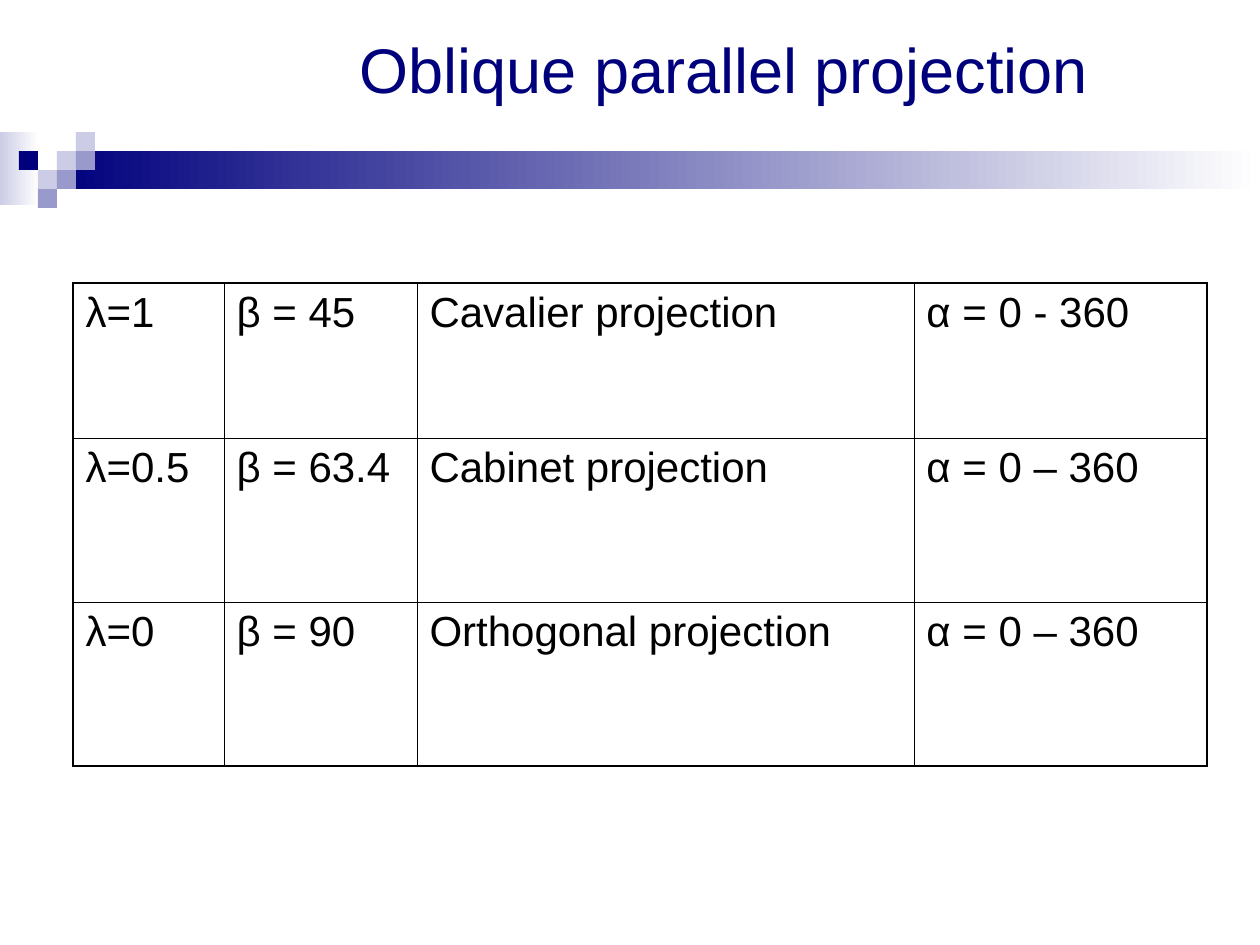
from dataclasses import dataclass

from lxml import etree
from pptx import Presentation
from pptx import util as u
from pptx.dml.color import RGBColor
from pptx.enum import shapes, text
from pptx.oxml.ns import qn

TITLE = "Oblique parallel projection"
ROWS = [
    ("λ=1", "β = 45", "Cavalier projection", "α = 0 - 360"),
    ("λ=0.5", "β = 63.4", "Cabinet projection", "α = 0 – 360"),
    ("λ=0", "β = 90", "Orthogonal projection", "α = 0 – 360"),
]
COLUMN_WIDTHS = (151, 193, 497, 293)
ROW_HEIGHTS = (155, 164, 164)


@dataclass(frozen=True)
class Theme:
    font: str = "Arial"
    navy: str = "00007D"
    lavender: str = "9999CC"
    pale: str = "CCCCE6"
    white: str = "FFFFFF"
    black: str = "000000"
    title_size: int = 36
    cell_size: int = 24
    outer_line: float = 1.08
    inner_line: float = 0.45


THEME = Theme()
SQUARE = 19
MOSAIC_TOP = 132
BANDS = [
    ((0, MOSAIC_TOP, 39, 73), THEME.pale),
    ((57, MOSAIC_TOP + SQUARE, 1203, 2 * SQUARE), THEME.navy),
]
SQUARES = [
    (3, 1, THEME.pale),
    (4, 0, THEME.pale),
    (4, 1, THEME.lavender),
    (2, 2, THEME.pale),
    (1, 1, THEME.navy),
    (3, 2, THEME.lavender),
    (2, 3, THEME.lavender),
]


def px(length):
    return u.Emu(round(length * 914400 / 126))


def write(frame, words, size, color, anchor):
    frame.word_wrap = True
    frame.vertical_anchor = anchor
    para = frame.paragraphs[0]
    para.alignment = text.PP_ALIGN.LEFT
    span = para.add_run()
    span.text = words
    span.font.name = THEME.font
    span.font.size = u.Pt(size)
    span.font.color.rgb = RGBColor.from_string(color)


def add_block(page, bounds, color, fade=None):
    block = page.shapes.add_shape(shapes.MSO_SHAPE.RECTANGLE, *map(px, bounds))
    block.shadow.inherit = False
    block.line.fill.background()
    if fade:
        block.fill.gradient()
        block.fill.gradient_angle = 0
        for stop, shade in zip(block.fill.gradient_stops, (color, fade)):
            stop.color.rgb = RGBColor.from_string(shade)
    else:
        block.fill.solid()
        block.fill.fore_color.rgb = RGBColor.from_string(color)


def set_borders(cell, outer_sides):
    properties = cell._tc.get_or_add_tcPr()
    for side in "LRTB":
        width = THEME.outer_line if side in outer_sides else THEME.inner_line
        line = etree.SubElement(properties, qn(f"a:ln{side}"), w=str(u.Pt(width)))
        fill = etree.SubElement(line, qn("a:solidFill"))
        etree.SubElement(fill, qn("a:srgbClr"), val=THEME.black)


def add_grid(page):
    size = len(ROWS), len(COLUMN_WIDTHS)
    bounds = (73, 283, sum(COLUMN_WIDTHS), sum(ROW_HEIGHTS))
    table = page.shapes.add_table(*size, *map(px, bounds)).table
    table.first_row = table.horz_banding = False
    for column, width in zip(table.columns, COLUMN_WIDTHS):
        column.width = px(width)
    for row, height in zip(table.rows, ROW_HEIGHTS):
        row.height = px(height)
    for r, words in enumerate(ROWS):
        for c, word in enumerate(words):
            cell = table.cell(r, c)
            edges = {"L": c == 0, "R": c == size[1] - 1, "T": r == 0, "B": r == size[0] - 1}
            set_borders(cell, [side for side, outer in edges.items() if outer])
            cell.fill.background()
            write(cell.text_frame, word, THEME.cell_size, THEME.black, text.MSO_ANCHOR.TOP)
            cell.vertical_anchor = text.MSO_ANCHOR.TOP


def main():
    deck = Presentation()
    deck.slide_width, deck.slide_height = px(1260), px(945)
    page = deck.slides.add_slide(deck.slide_layouts[5])
    for bounds, color in BANDS:
        add_block(page, bounds, color, fade=THEME.white)
    for column, row, color in SQUARES:
        corner = (column * SQUARE - SQUARE, MOSAIC_TOP + row * SQUARE)
        add_block(page, (corner[0] + SQUARE, corner[1], SQUARE, SQUARE)
                  if column == 0 else (column * SQUARE, corner[1], SQUARE, SQUARE), color)
    title = page.shapes.title
    title.left, title.top, title.width, title.height = map(px, (347, 32, 872, 73))
    write(title.text_frame, TITLE, THEME.title_size, THEME.navy, text.MSO_ANCHOR.MIDDLE)
    add_grid(page)
    deck.save("out.pptx")


if __name__ == "__main__":
    main()
